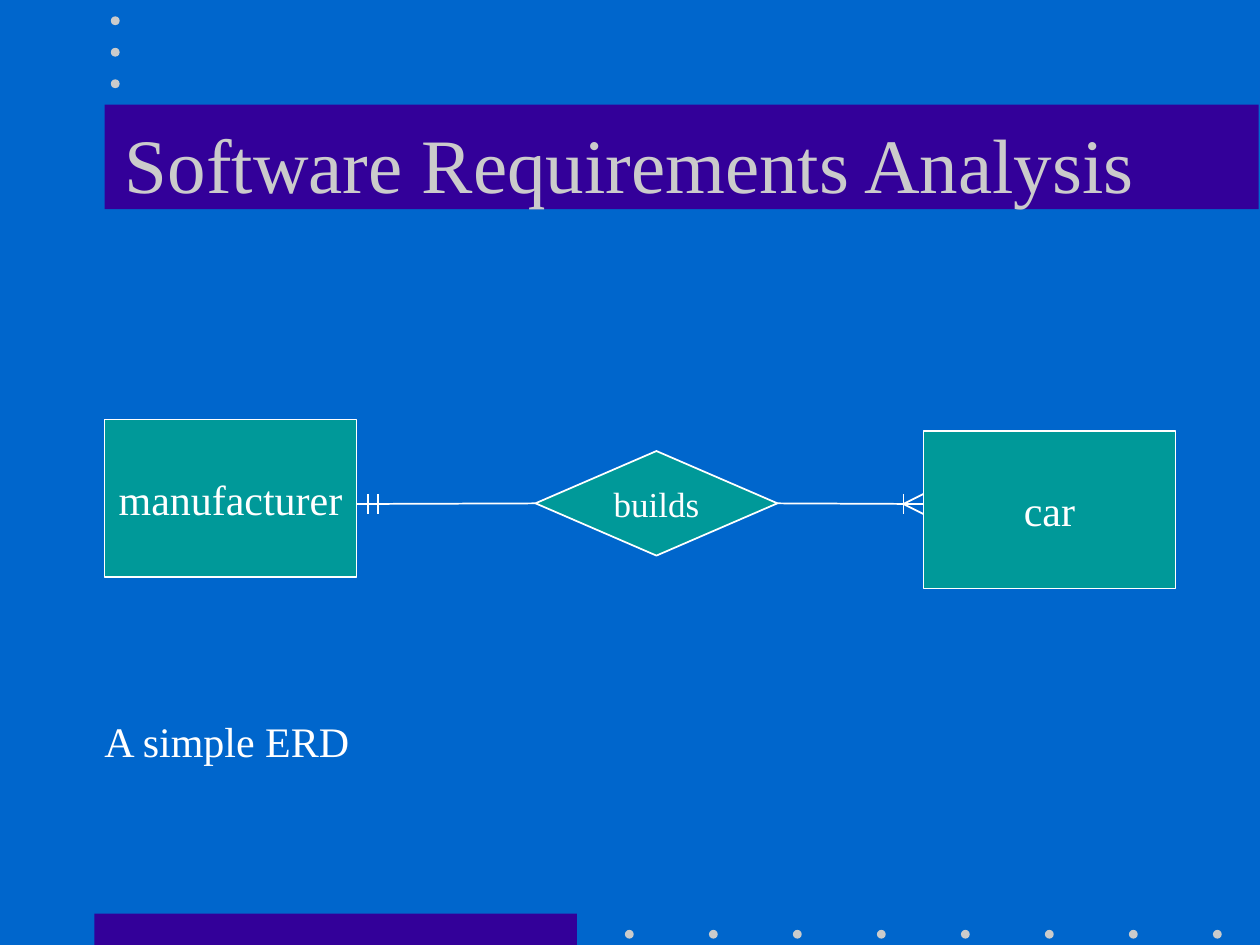
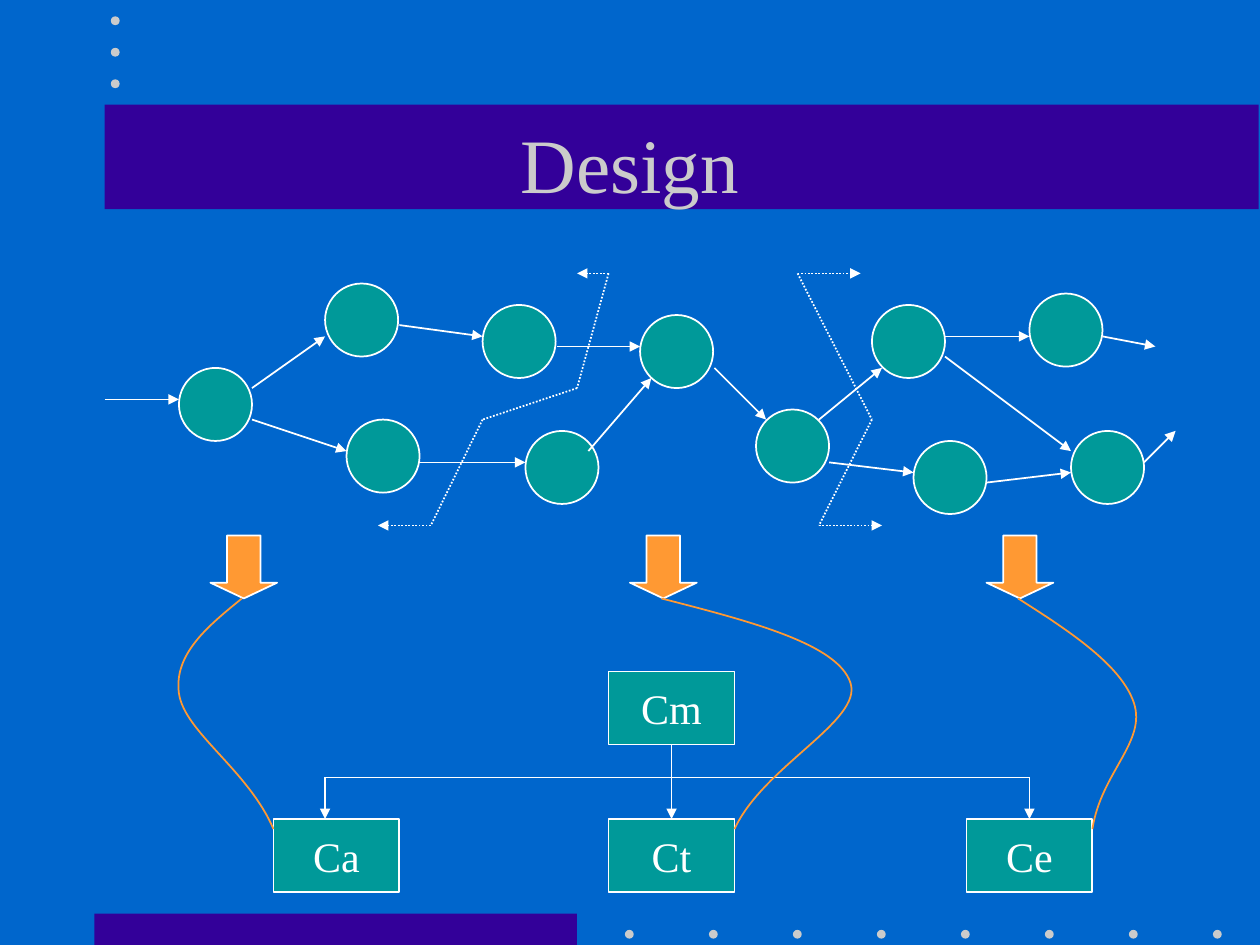
import itertools

import pptx
import pptx.dml.color
import pptx.enum.dml
import pptx.enum.shapes
import pptx.enum.text
import pptx.oxml
import pptx.oxml.ns
import pptx.util

Inches = pptx.util.Inches
Pt = pptx.util.Pt
SHAPE = pptx.enum.shapes.MSO_SHAPE
ANCHOR = pptx.enum.text.MSO_ANCHOR
ALIGN = pptx.enum.text.PP_ALIGN
FIT = pptx.enum.text.MSO_AUTO_SIZE
qn = pptx.oxml.ns.qn

FONT = "Times New Roman"
BLUE, PURPLE, GREY = "0066CC", "330099", "CBCBCB"
TEAL, ORANGE, WHITE = "009999", "FF9933", "FFFFFF"
CIRCLE = 0.58
BOX_W, BOX_H = 1, 0.58


def rgb(color):
    return pptx.dml.color.RGBColor.from_string(color)


def paint(sp, fill=None, line=None):
    """Set fill and outline; None leaves that part empty."""
    sp.shadow.inherit = False
    if fill:
        sp.fill.solid()
        sp.fill.fore_color.rgb = rgb(fill)
    else:
        sp.fill.background()
    if line:
        sp.line.color.rgb = rgb(line)
        sp.line.width = Pt(1)
    else:
        sp.line.fill.background()


def write(sp, text, size, color=WHITE, align=ALIGN.CENTER, anchor=ANCHOR.MIDDLE,
          wrap=False, fit=FIT.NONE):
    tf = sp.text_frame
    tf.text = text
    tf.word_wrap = wrap
    tf.auto_size = fit
    tf.vertical_anchor = anchor
    p = tf.paragraphs[0]
    p.alignment = align
    p.font.size = Pt(size)
    p.font.name = FONT
    p.font.color.rgb = rgb(color)


def add_shape(slide, kind, x, y, w, h, fill=TEAL, line=WHITE, text=None, size=24):
    sp = slide.shapes.add_shape(kind, Inches(x), Inches(y), Inches(w), Inches(h))
    paint(sp, fill, line)
    if text:
        write(sp, text, size)
    return sp


def add_line(slide, start, end, arrow=False, dotted=False):
    line = slide.shapes.add_connector(
        pptx.enum.shapes.MSO_CONNECTOR.STRAIGHT, *map(Inches, (*start, *end)))
    line.line.color.rgb = rgb(WHITE)
    line.line.width = Pt(1)
    if dotted:
        line.line.dash_style = pptx.enum.dml.MSO_LINE.ROUND_DOT
    if arrow:
        ln = line.line._get_or_add_ln()
        ln.append(pptx.oxml.parse_xml(
            f'<a:tailEnd {pptx.oxml.ns.nsdecls("a")} type="triangle"/>'))
    line.element.spPr.append(
        pptx.oxml.parse_xml(f'<a:effectLst {pptx.oxml.ns.nsdecls("a")}/>'))
    return line


def add_boundary(slide, points):
    """Dotted polyline with an arrowhead pointing outwards at both ends."""
    add_line(slide, points[1], points[0], arrow=True, dotted=True)
    for start, end in itertools.pairwise(points[1:-1]):
        add_line(slide, start, end, dotted=True)
    add_line(slide, points[-2], points[-1], arrow=True, dotted=True)


def add_curve(slide, points, fill=None):
    """Bezier curve: a start point, then three points for each segment."""
    emu = [(Inches(x), Inches(y)) for x, y in points]
    builder = slide.shapes.build_freeform(*emu[0])
    builder.add_line_segments(emu[1:], close=False)
    sp = builder.convert_to_shape()
    path = sp.element.find(".//" + qn("a:path"))
    steps = path.findall(qn("a:lnTo"))
    for i in range(0, len(steps), 3):
        bezier = path.makeelement(qn("a:cubicBezTo"), {})
        for step in steps[i:i + 3]:
            bezier.append(step[0])
            path.remove(step)
        path.append(bezier)
    paint(sp, fill, ORANGE)


def decorate_layout(layout, slide):
    """Draw bands and dots on a slide and move them to its layout."""
    band, dot = SHAPE.RECTANGLE, SHAPE.OVAL
    parts = [(band, 0.75, 7.25, 3.83, 0.25, PURPLE)]
    parts += [(dot, 4.96 + i * 2 / 3, 7.38, 0.07, 0.07, GREY) for i in range(8)]
    parts += [(band, 0.83, 0.83, 9.16, 0.83, PURPLE)]
    parts += [(dot, 0.88, 0.13 + i * 0.25, 0.07, 0.07, GREY) for i in range(3)]
    for i, part in enumerate(parts):
        sp = add_shape(slide, *part, line=None)
        sp.element.nvSpPr.cNvPr.set("id", str(100 + i))
        layout.shapes.element.insert(2 + i, sp.element)


def add_slide(prs, layout, title):
    slide = prs.slides.add_slide(layout)
    sp = slide.shapes.title
    sp.left, sp.top, sp.width, sp.height = map(Inches, (0.75, 0.67, 8.5, 1.25))
    write(sp, title, 44, GREY, wrap=True)
    return slide


def draw_erd(slide):
    add_shape(slide, SHAPE.RECTANGLE, 0.83, 3.33, 2, 1.25, text="manufacturer")
    add_shape(slide, SHAPE.RECTANGLE, 7.33, 3.42, 2, 1.25, text="car")
    builds = add_shape(slide, SHAPE.DIAMOND, 4.25, 3.58, 1.92, 0.83,
                       text="builds", size=20)
    add_line(slide, (4.25, 4), (2.83, 4)).begin_connect(builds, 1)
    add_line(slide, (6.17, 4), (7.33, 4)).begin_connect(builds, 3)
    for x in (3, 2.92, 7.17):
        add_line(slide, (x, 3.92), (x, 4.08))
    for y in (3.92, 4.08):
        add_line(slide, (7.17, 4), (7.33, y))
    caption = slide.shapes.add_textbox(*map(Inches, (0.73, 5.63, 2.16, 0.9)))
    write(caption, "A simple ERD", 24, align=ALIGN.LEFT, anchor=ANCHOR.TOP,
          fit=FIT.SHAPE_TO_FIT_TEXT)


def draw_data_flow(slide):
    processes = [(1.42, 2.92), (3.83, 2.42), (2.58, 2.25), (2.75, 3.33),
                 (4.17, 3.42), (5.08, 2.5), (8.5, 3.42), (8.17, 2.33),
                 (7.25, 3.5), (6.92, 2.42), (6, 3.25)]
    for x, y in processes:
        add_shape(slide, SHAPE.OVAL, x, y, CIRCLE, CIRCLE)
    flows = [((0.83, 3.17), (1.42, 3.17)), ((2, 3.08), (2.58, 2.67)),
             ((2, 3.33), (2.75, 3.58)), ((3.17, 2.58), (3.83, 2.67)),
             ((3.33, 3.67), (4.17, 3.67)), ((4.42, 2.75), (5.08, 2.75)),
             ((4.67, 3.58), (5.17, 3)), ((5.67, 2.92), (6.08, 3.33)),
             ((6.58, 3.67), (7.25, 3.75)), ((6.5, 3.33), (7, 2.92)),
             ((7.5, 2.67), (8.17, 2.67)), ((7.5, 2.83), (8.5, 3.58)),
             ((7.83, 3.83), (8.5, 3.75)), ((8.75, 2.67), (9.17, 2.75)),
             ((9.08, 3.67), (9.33, 3.42))]
    for start, end in flows:
        add_line(slide, start, end, arrow=True)
    add_boundary(slide, [(4.58, 2.17), (4.83, 2.17), (4.58, 3.08),
                         (3.83, 3.33), (3.42, 4.17), (3, 4.17)])
    add_boundary(slide, [(6.83, 2.17), (6.33, 2.17), (6.92, 3.33),
                         (6.5, 4.17), (7, 4.17)])


def draw_structure(slide):
    for x in (1.67, 5, 7.83):
        arrow = add_shape(slide, SHAPE.DOWN_ARROW, x, 4.25, 0.53, 0.5, ORANGE)
        arrow.adjustments[0], arrow.adjustments[1] = 0.5, 0.25
    modules = [("Cm", 4.83, 5.33), ("Ct", 4.83, 6.5), ("Ca", 2.17, 6.5), ("Ce", 7.67, 6.5)]
    boxes = {name: add_shape(slide, SHAPE.RECTANGLE, x, y, BOX_W, BOX_H, text=name)
             for name, x, y in modules}
    add_curve(slide, [(1.92, 4.75), (1.65, 4.97), (1.38, 5.19), (1.42, 5.5),
                      (1.46, 5.81), (1.97, 6.11), (2.17, 6.58)], fill=BLUE)
    add_line(slide, (2.58, 6.17), (8.17, 6.17))
    add_line(slide, (2.58, 6.17), (2.58, 6.5), arrow=True)
    trunk = add_line(slide, (5.33, 5.92), (5.33, 6.5), arrow=True)
    trunk.begin_connect(boxes["Cm"], 2)
    trunk.end_connect(boxes["Ct"], 0)
    add_line(slide, (8.17, 6.17), (8.17, 6.5), arrow=True).end_connect(boxes["Ce"], 0)
    add_curve(slide, [(5.25, 4.75), (5.95, 4.93), (6.65, 5.11), (6.75, 5.42),
                      (6.85, 5.72), (6.06, 6.08), (5.83, 6.58)])
    add_curve(slide, [(8.08, 4.75), (8.49, 5.01), (8.9, 5.28), (9, 5.58),
                      (9.1, 5.89), (8.74, 6.13), (8.67, 6.58)])


def main():
    prs = pptx.Presentation()
    prs.slide_width, prs.slide_height = Inches(10), Inches(7.5)
    background = prs.slide_master.background.fill
    background.solid()
    background.fore_color.rgb = rgb(BLUE)
    layout = prs.slide_layouts[5]

    erd = add_slide(prs, layout, "Software Requirements Analysis")
    decorate_layout(layout, erd)
    draw_erd(erd)

    design = add_slide(prs, layout, "Design")
    draw_data_flow(design)
    draw_structure(design)
    prs.save("out.pptx")


if __name__ == "__main__":
    main()
